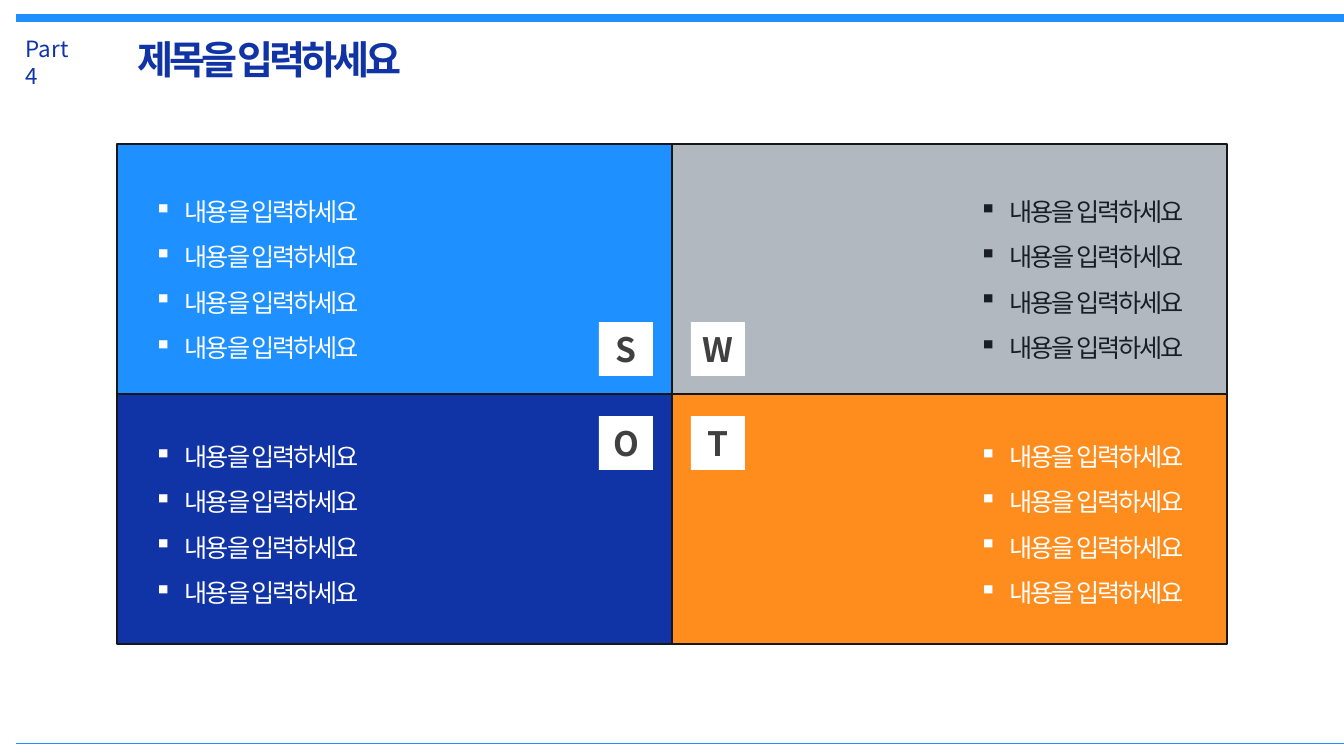
"""Build a SWOT matrix slide with four coloured quadrants."""
from lxml import etree
from pptx import Presentation
from pptx.dml.color import RGBColor
from pptx.enum.shapes import MSO_CONNECTOR, MSO_SHAPE
from pptx.enum.text import MSO_ANCHOR, MSO_AUTO_SIZE, PP_ALIGN
from pptx.oxml.ns import qn
from pptx.util import Pt

EMU_PER_PX = 914400 / 100.8
STRAIGHT = MSO_CONNECTOR.STRAIGHT
RECTANGLE = MSO_SHAPE.RECTANGLE
MIDDLE = MSO_ANCHOR.MIDDLE
GROW = MSO_AUTO_SIZE.SHAPE_TO_FIT_TEXT
LEFT, CENTER, RIGHT = PP_ALIGN.LEFT, PP_ALIGN.CENTER, PP_ALIGN.RIGHT

FONT = "Noto Sans CJK KR"
BLUE, NAVY, GRAY, ORANGE = "1E90FF", "1034A6", "B1B8C0", "FF8D1E"
WHITE, INK, OUTLINE, LETTER = "FFFFFF", "1A1F27", "181717", "404040"

MATRIX_LEFT, MATRIX_TOP = 117, 144
QUADRANT_WIDTH, QUADRANT_HEIGHT = 555, 250
BADGE_SIZE = 54
BADGE_LEFTS, BADGE_TOPS = (599, 691), (322, 416)
LIST_BOXES, LIST_TOPS = ((144, 341), (869, 325)), (176, 421)
LIST_HEIGHT = 188
ITEMS = ["내용을 입력하세요"] * 4
QUADRANTS = [
    ("S", BLUE, WHITE),
    ("W", GRAY, INK),
    ("O", NAVY, WHITE),
    ("T", ORANGE, WHITE),
]


def px(length):
    """Turn pixels into EMU."""
    return round(length * EMU_PER_PX)


def color(value):
    """Turn a hex string into a colour."""
    return RGBColor.from_string(value)


def apply(target, values):
    """Set each attribute of the target from a dict."""
    for name, value in values.items():
        setattr(target, name, value)


def write(paragraph, text, size, ink, bold=False, spacing=0):
    """Add one formatted run with letter spacing in points."""
    run = paragraph.add_run()
    run.text = text
    run.font.color.rgb = color(ink)
    apply(run.font, {"size": Pt(size), "bold": bold, "name": FONT})
    properties = run.font._element
    etree.SubElement(properties, qn("a:ea")).set("typeface", FONT)
    if spacing:
        properties.set("spc", str(round(spacing * 100)))


def add_rule(slide, y, width):
    """Draw a horizontal rule across the slide."""
    rule = slide.shapes.add_connector(STRAIGHT, px(16), px(y), px(1346), px(y))
    rule.line.color.rgb = color(BLUE)
    rule.line.width = Pt(width)
    etree.SubElement(rule._element.spPr, qn("a:effectLst"))


def add_box(slide, left, top, width, height, fill, outline=None):
    """Draw a filled rectangle, outlined when a colour is given."""
    box = slide.shapes.add_shape(RECTANGLE, px(left), px(top), px(width), px(height))
    box.shadow.inherit = False
    box.fill.solid()
    box.fill.fore_color.rgb = color(fill)
    if outline:
        box.line.color.rgb = color(outline)
        box.line.width = Pt(1)
    else:
        box.line.fill.background()
    return box


def add_text(slide, left, top, width, height, wrap=True):
    """Add an empty text box and return its frame."""
    box = slide.shapes.add_textbox(px(left), px(top), px(width), px(height))
    apply(box.text_frame, {"word_wrap": wrap, "auto_size": GROW})
    return box.text_frame


def add_badge(slide, left, top, letter):
    """Draw a white square with a bold letter."""
    frame = add_box(slide, left, top, BADGE_SIZE, BADGE_SIZE, WHITE).text_frame
    apply(frame, {
        "margin_left": 0, "margin_right": 0, "margin_top": 0, "margin_bottom": 0,
        "vertical_anchor": MIDDLE, "word_wrap": False,
    })
    paragraph = frame.paragraphs[0]
    paragraph.alignment = CENTER
    write(paragraph, letter, 24, LETTER, bold=True)


def add_list(slide, left, top, width, ink, alignment):
    """Add the bulleted items of one quadrant."""
    frame = add_text(slide, left, top, width, LIST_HEIGHT)
    for index, item in enumerate(ITEMS):
        paragraph = frame.add_paragraph() if index else frame.paragraphs[0]
        apply(paragraph, {"alignment": alignment, "line_spacing": 1.5})
        properties = paragraph._p.get_or_add_pPr()
        properties.set("marL", str(px(31)))
        properties.set("indent", str(px(-31)))
        etree.SubElement(properties, qn("a:buChar")).set("char", "▪")
        write(paragraph, item, 18, ink, spacing=-1.5)


def main():
    """Build and save the slide."""
    presentation = Presentation()
    apply(presentation, {"slide_width": px(1344), "slide_height": px(756)})
    slide = presentation.slides.add_slide(presentation.slide_layouts[6])

    add_rule(slide, 18, 6)
    part = add_text(slide, 16, 30, 75, 37)
    write(part.paragraphs[0], "Part 4", 16, NAVY)
    title = add_text(slide, 128, 30, 307, 57, wrap=False)
    write(title.paragraphs[0], "제목을 입력하세요", 28, NAVY, bold=True, spacing=-3)
    add_rule(slide, 743, 0.25)

    for index, (letter, fill, ink) in enumerate(QUADRANTS):
        row, column = divmod(index, 2)
        add_box(slide, MATRIX_LEFT + column * QUADRANT_WIDTH,
                MATRIX_TOP + row * QUADRANT_HEIGHT,
                QUADRANT_WIDTH, QUADRANT_HEIGHT, fill, OUTLINE)
        add_badge(slide, BADGE_LEFTS[column], BADGE_TOPS[row], letter)
        left, width = LIST_BOXES[column]
        add_list(slide, left, LIST_TOPS[row], width, ink, (LEFT, RIGHT)[column])

    presentation.save("out.pptx")


if __name__ == "__main__":
    main()
